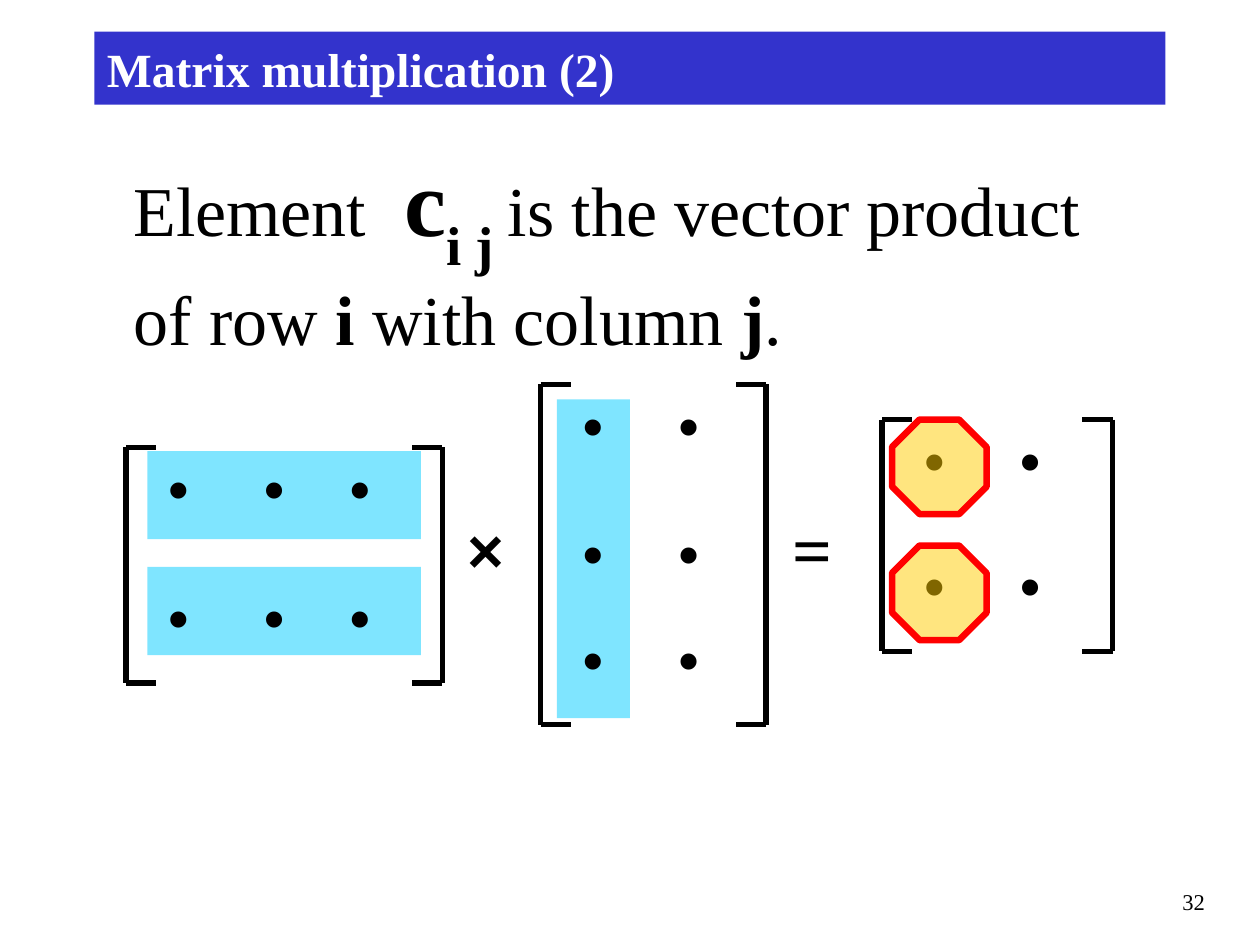
from itertools import pairwise, product

from lxml import etree
from pptx import Presentation
from pptx import util as u
from pptx.dml.color import RGBColor
from pptx.enum import shapes, text
from pptx.oxml.ns import qn

SERIF, SANS = "Times New Roman", "Arial"
BLACK, WHITE, BLUE = "000000", "FFFFFF", "3333CC"
CYAN, GOLD, RED = "00CCFF", "FFCC00", "FF0000"
TAB = 0.24
COLUMN_STARTS = (0.24, 1.0, 1.68)


def color(value):
    return RGBColor.from_string(value)


def inches(box):
    return [u.Inches(length) for length in box]


def style(font, size, face=SERIF, bold=False, hue=BLACK):
    font.size, font.name, font.bold = u.Pt(size), face, bold
    font.color.rgb = color(hue)


def add_label(slide, box, wording, size, face=SERIF, bold=False, wrap=True):
    frame = slide.shapes.add_textbox(*inches(box)).text_frame
    frame.word_wrap = wrap
    paragraph = frame.paragraphs[0]
    paragraph.text = wording
    style(paragraph.font, size, face, bold)
    return paragraph


def add_area(slide, kind, box, fill, alpha=None, outline=None):
    area = slide.shapes.add_shape(kind, *inches(box))
    area.shadow.inherit = False
    area.fill.solid()
    area.fill.fore_color.rgb = color(fill)
    if alpha:
        hue = area._element.spPr.find(".//" + qn("a:srgbClr"))
        etree.SubElement(hue, qn("a:alpha")).set("val", str(alpha * 1000))
    if outline:
        area.line.color.rgb = color(outline)
        area.line.width = u.Pt(3.75)
    else:
        area.line.fill.background()
    return area


def add_stroke(slide, start, end):
    stroke = slide.shapes.add_connector(
        shapes.MSO_CONNECTOR.STRAIGHT, *inches(start + end))
    stroke.line.color.rgb = color(BLACK)
    stroke.line.width = u.Pt(3)
    etree.SubElement(stroke._element.spPr, qn("a:effectLst"))


def add_title(slide, box):
    bar = add_area(slide, shapes.MSO_SHAPE.RECTANGLE, box, BLUE)
    bar.text_frame.vertical_anchor = text.MSO_ANCHOR.MIDDLE
    heading = bar.text_frame.paragraphs[0]
    heading.text = "Matrix multiplication (2)"
    heading.alignment = text.PP_ALIGN.LEFT
    style(heading.font, 27.2, bold=True, hue=WHITE)


def add_statement(slide, box):
    sentence = add_label(slide, box, "", 40)
    for wording, size, bold, subscript in (
        ("Element ", 40, False, False),
        (" ", 48, True, False),
        ("c", 54, True, False),
        ("i j ", 54, True, True),
        ("is the vector product of row ", 40, False, False),
        ("i ", 40, True, False),
        ("with column ", 40, False, False),
        ("j", 40, True, False),
        (".", 40, False, False),
    ):
        run = sentence.add_run()
        run.text = wording
        style(run.font, size, bold=bold)
        if subscript:
            run.font._element.set("baseline", "-30000")


def add_matrix(slide, box, columns, row_starts):
    left, top, width, height = box
    right, bottom = left + width, top + height
    column_edges = [left + x for x in (*COLUMN_STARTS[:columns], width - TAB)]
    row_edges = [top + y for y in (*row_starts, height)]
    for (y, y_end), (x, x_end) in product(pairwise(row_edges), pairwise(column_edges)):
        add_label(slide, (x, y, x_end - x, y_end - y), "•", 32, SANS, True)
    for side, inner in ((left, left + TAB), (right, right - TAB)):
        add_stroke(slide, (side, top), (side, bottom))
        for edge in (top, bottom):
            add_stroke(slide, (side, edge), (inner, edge))


def add_equation(slide, box):
    left, top, width, height = box
    for x, y, w, h in ((0.17, 0.53, 2.17, 0.7), (3.42, 0.12, 0.58, 2.53),
                       (0.17, 1.45, 2.17, 0.7)):
        add_area(slide, shapes.MSO_SHAPE.RECTANGLE, (left + x, top + y, w, h), CYAN, 50)
    add_matrix(slide, (left, top + 0.5, 2.51, 1.87), 3, (0, 1.02))
    add_matrix(slide, (left + 3.29, top, 1.79, height), 2, (0, 1.02, 1.86))
    add_matrix(slide, (left + width - 1.83, top + 0.28, 1.83, 1.84), 2, (0, 0.99))
    add_label(slide, (left + 2.61, top + 0.95, 0.6, 0.7), "×", 36, SANS, True, False)
    add_label(slide, (left + 5.19, top + 0.91, 0.51, 0.77), "=", 40, SERIF, True, False)
    for y in (0.28, 1.28):
        result = add_area(slide, shapes.MSO_SHAPE.OCTAGON,
                          (left + 6.08, top + y, 0.75, 0.75), GOLD, 50, RED)
        result.adjustments[0] = 0.29


def main():
    deck = Presentation()
    deck.slide_width, deck.slide_height = u.Inches(10), u.Inches(7.5)
    slide = deck.slides.add_slide(deck.slide_layouts[6])
    number = add_label(slide, (7.58, 7, 2.08, 0.33), "32", 12.9)
    number.alignment = text.PP_ALIGN.RIGHT
    add_title(slide, (0.75, 0.25, 8.5, 0.58))
    add_statement(slide, (0.96, 1.08, 8.08, 1.83))
    add_equation(slide, (1, 3.05, 7.83, 2.7))
    deck.save("out.pptx")


if __name__ == "__main__":
    main()
